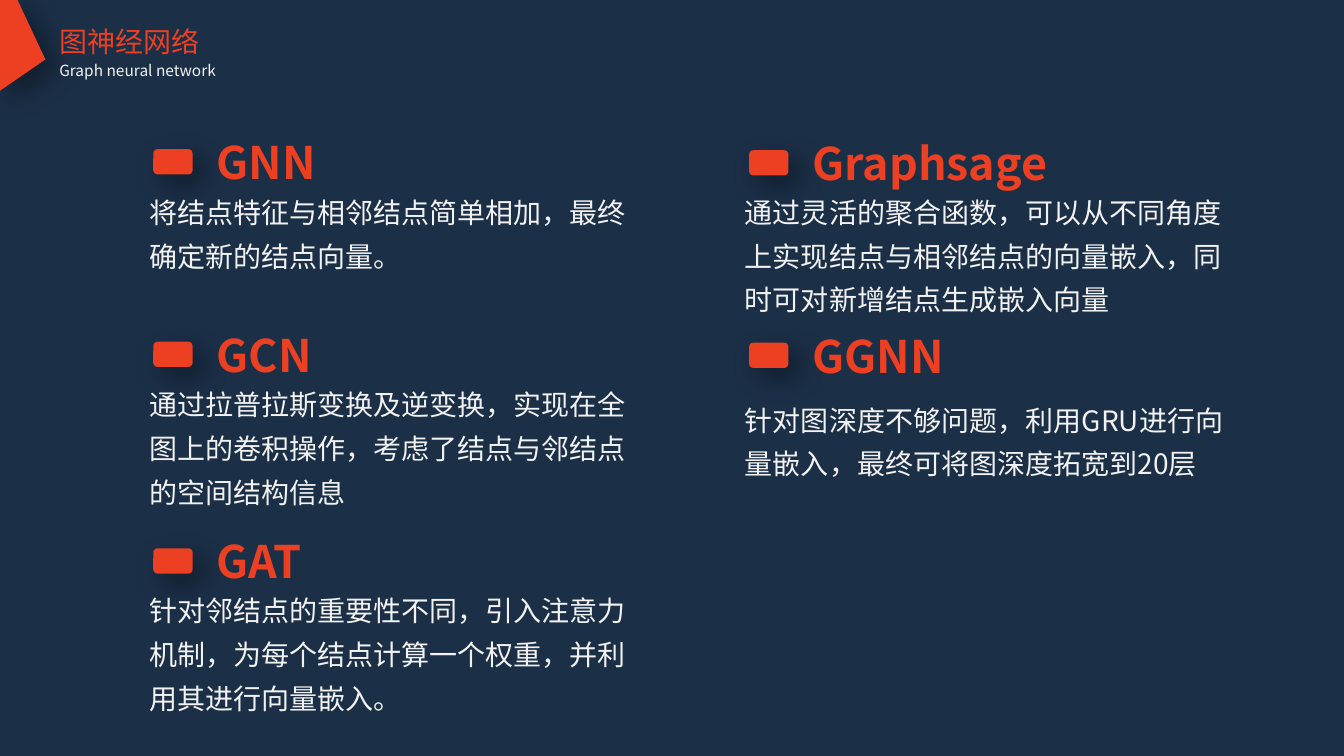
from lxml import etree
from pptx import Presentation
from pptx.dml.color import RGBColor
from pptx.enum.shapes import MSO_SHAPE as Preset
from pptx.enum.text import MSO_AUTO_SIZE as AutoSize
from pptx.oxml import parse_xml
from pptx.oxml.ns import nsdecls, qn
from pptx.util import Inches, Pt

NAVY = RGBColor(0x1B, 0x2F, 0x47)
ORANGE = RGBColor(0xED, 0x40, 0x22)
PALE = RGBColor(0xF2, 0xF2, 0xF2)
FONT = "Noto Sans CJK SC"

SHADOW = (
    f'<a:outerShdw {nsdecls("a")} blurRad="{Pt(20)}" dist="{Pt(10)}" '
    'dir="2700000" algn="tl" rotWithShape="0">'
    '<a:srgbClr val="000000"><a:alpha val="40000"/></a:srgbClr></a:outerShdw>'
)


def paint_orange(shape):
    shape.fill.solid()
    shape.fill.fore_color.rgb = ORANGE
    shape.line.fill.background()
    shape.shadow.inherit = False
    shape._element.spPr.find(qn("a:effectLst")).append(parse_xml(SHADOW))


def add_text(text, left, top, width, height, color, spacing=1.0, wrap=True, **font_format):
    box = page.shapes.add_textbox(Inches(left), Inches(top), Inches(width), Inches(height))
    box.text_frame.word_wrap = wrap
    box.text_frame.auto_size = AutoSize.SHAPE_TO_FIT_TEXT
    para = box.text_frame.paragraphs[0]
    para.line_spacing = spacing
    span = para.add_run()
    span.text = text
    span.font.color.rgb = color
    for name, value in {"name": FONT, **font_format}.items():
        setattr(span.font, name, value)
    # Chinese characters take their font from the East Asian slot
    etree.SubElement(span.font._element, qn("a:ea"), typeface=FONT)


deck = Presentation()
deck.slide_width, deck.slide_height = Inches(13.33), Inches(7.5)
page = deck.slides.add_slide(deck.slide_layouts[6])
page.background.fill.solid()
page.background.fill.fore_color.rgb = NAVY

# Corner ornament
outline = page.shapes.build_freeform(Inches(0.17), Inches(-0.01))
outline.add_line_segments(
    [(Inches(x), Inches(y)) for x, y in [(0, -0.01), (0, 0.9), (0.45, 0.59)]], close=True
)
paint_orange(outline.convert_to_shape())

# Page heading
add_text("图神经网络", 0.49, 0.19, 1.6, 0.44, ORANGE, wrap=False, size=Pt(20))
add_text("Graph neural network", 0.49, 0.56, 3.06, 0.29, PALE, size=Pt(11))

# Models: column left, heading top, body top, name, description
LEFT, RIGHT = 1.38, 7.29
models = [
    (LEFT, 1.29, 1.79, "GNN", "将结点特征与相邻结点简单相加，最终确定新的结点向量。"),
    (LEFT, 3.2, 3.7, "GCN",
     "通过拉普拉斯变换及逆变换，实现在全图上的卷积操作，考虑了结点与邻结点的空间结构信息"),
    (LEFT, 5.25, 5.74, "GAT",
     "针对邻结点的重要性不同，引入注意力机制，为每个结点计算一个权重，并利用其进行向量嵌入。"),
    (RIGHT, 1.3, 1.79, "Graphsage",
     "通过灵活的聚合函数，可以从不同角度上实现结点与相邻结点的向量嵌入，同时可对新增结点生成嵌入向量"),
    (RIGHT, 3.21, 3.85, "GGNN",
     "针对图深度不够问题，利用GRU进行向量嵌入，最终可将图深度拓宽到20层"),
]
for left, top, body_top, name, description in models:
    marker = page.shapes.add_shape(
        Preset.ROUNDED_RECTANGLE, Inches(left + 0.14), Inches(top + 0.19), Inches(0.39), Inches(0.25)
    )
    paint_orange(marker)
    add_text(name, left + 0.67, top, 3.5, 0.64, ORANGE, size=Pt(32), bold=True)
    add_text(description, left, body_top, 5.06, 0.97, PALE, spacing=1.3, size=Pt(20))

deck.save("out.pptx")
